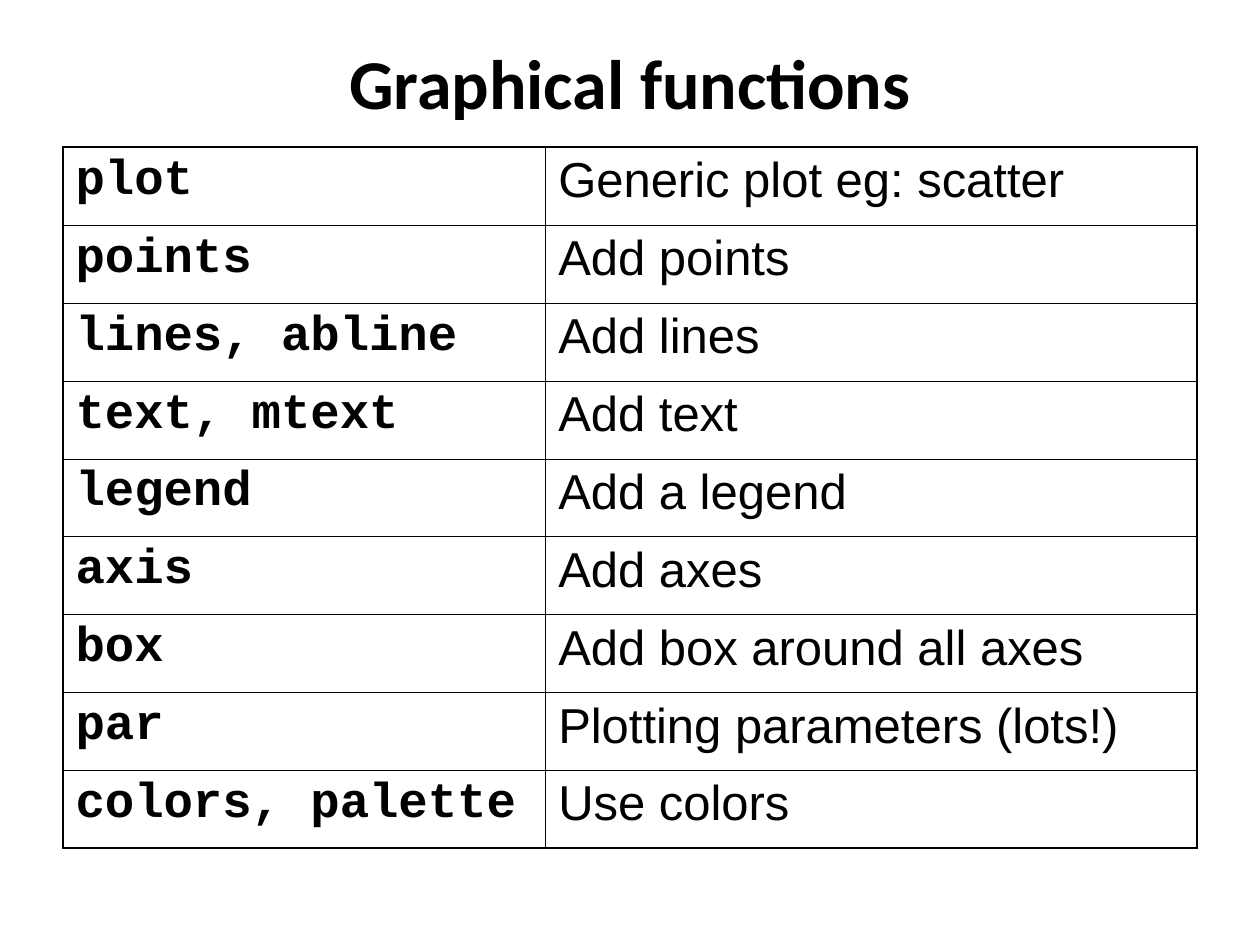
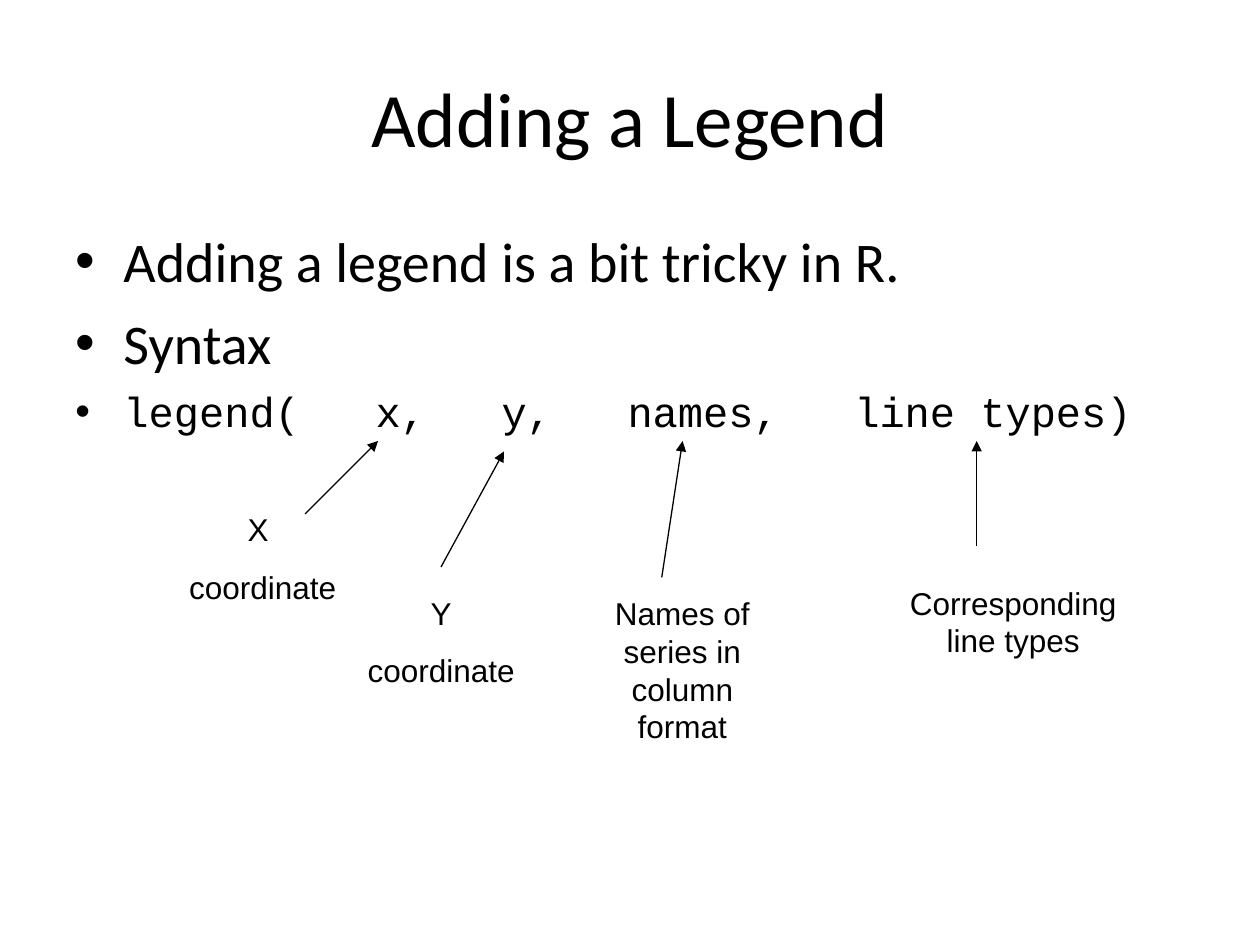
from lxml import etree
from pptx import Presentation
from pptx.dml.color import RGBColor
from pptx.enum.shapes import MSO_CONNECTOR
from pptx.enum.text import MSO_ANCHOR, MSO_AUTO_SIZE, PP_ALIGN
from pptx.oxml.ns import qn
from pptx.util import Cm, Pt

STRAIGHT = MSO_CONNECTOR.STRAIGHT
LEFT, CENTER = PP_ALIGN.LEFT, PP_ALIGN.CENTER
TOP, MIDDLE = MSO_ANCHOR.TOP, MSO_ANCHOR.MIDDLE
GROW = MSO_AUTO_SIZE.SHAPE_TO_FIT_TEXT

INK = "000000"
HEADING, BODY, CODE = "Calibri", "Arial", "Courier New"
MARGIN, CONTENT_WIDTH = 1.27, 22.86
THICK, THIN = 1.08, 0.45
ROW_HEIGHT = 1.57
COLUMN_WIDTHS = (9.73, 13.13)
BULLET_INDENT = 0.97
WIDE_GAP = 28.8

FUNCTIONS = [
    ("plot", "Generic plot eg: scatter"),
    ("points", "Add points"),
    ("lines, abline", "Add lines"),
    ("text, mtext", "Add text"),
    ("legend", "Add a legend"),
    ("axis", "Add axes"),
    ("box", "Add box around all axes"),
    ("par", "Plotting parameters (lots!)"),
    ("colors, palette", "Use colors"),
]
SYNTAX = ["legend(", "x,", "y,", "names,", "line types)"]

# Each callout: paragraphs, label box, arrow start and tip measured from the label's corner.
CALLOUTS = [
    (["X ", "coordinate"], (3.39, 10.16, 3.81, 2.18), (2.76, 0.2), (4.23, -1.27)),
    (["Y", "coordinate"], (6.99, 11.85, 3.81, 2.18), (1.9, -0.42), (3.17, -2.75)),
    (["Names of series in column format"], (11.85, 11.85, 3.81, 3.3), (1.49, -0.21), (1.91, -2.96)),
    (["Corresponding line types"], (17.99, 11.64, 4.87, 1.78), (1.7, -0.64), (1.7, -2.75)),
]


def color(value):
    """Turn a hex string into a colour."""
    return RGBColor.from_string(value)


def add_span(para, text, font=BODY, size=18, bold=False, gap=0):
    """Add a formatted span, with extra letter spacing in points if asked."""
    span = para.add_run()
    span.text = text
    span.font.name = font
    span.font.size = Pt(size)
    span.font.bold = bold
    span.font.color.rgb = color(INK)
    if gap:
        span.font._element.set("spc", str(round(gap * 100)))


def add_text(frame, text, align=LEFT, before=0, bullet=False, **style):
    """Write a paragraph; a list of texts is set apart by wide gaps."""
    first = frame.paragraphs[0]
    para = frame.add_paragraph() if first.runs else first
    para.alignment = align
    para.space_before = Pt(before)
    if bullet:
        add_bullet(para)
    parts = [text] if isinstance(text, str) else text
    for index, part in enumerate(parts):
        if index:
            add_span(para, " ", gap=WIDE_GAP, **style)
        add_span(para, part, **style)


def add_bullet(para):
    """Give a paragraph a hanging round bullet."""
    properties = para._p.get_or_add_pPr()
    properties.set("marL", str(Cm(BULLET_INDENT)))
    properties.set("indent", str(-Cm(BULLET_INDENT)))
    etree.SubElement(properties, qn("a:buFont")).set("typeface", BODY)
    etree.SubElement(properties, qn("a:buChar")).set("char", "•")


def add_frame(page, box, anchor=TOP):
    """Add a wrapping text box and return its text frame."""
    frame = page.shapes.add_textbox(*map(Cm, box)).text_frame
    frame.word_wrap = True
    frame.vertical_anchor = anchor
    return frame


def add_title(page, box, text, **style):
    """Add a centred slide title."""
    add_text(add_frame(page, box, MIDDLE), text, align=CENTER, font=HEADING, **style)


def set_borders(cell, widths):
    """Draw the left, right, top and bottom borders of a cell."""
    properties = cell._tc.get_or_add_tcPr()
    for position, (side, width) in enumerate(zip("LRTB", widths)):
        line = etree.Element(qn(f"a:ln{side}"), w=str(Pt(width)))
        fill = etree.SubElement(line, qn("a:solidFill"))
        etree.SubElement(fill, qn("a:srgbClr")).set("val", INK)
        properties.insert(position, line)


def add_function_table(page, left, top):
    """Add the table of functions and what each one does."""
    count = len(FUNCTIONS)
    box = (left, top, sum(COLUMN_WIDTHS), ROW_HEIGHT * count)
    table = page.shapes.add_table(count, len(COLUMN_WIDTHS), *map(Cm, box)).table
    table.first_row = table.horz_banding = False
    for column, width in zip(table.columns, COLUMN_WIDTHS):
        column.width = Cm(width)
    for row, texts in enumerate(FUNCTIONS):
        table.rows[row].height = Cm(ROW_HEIGHT)
        for column, text in enumerate(texts):
            cell = table.cell(row, column)
            cell.fill.background()
            is_name = column == 0
            outer = (is_name, not is_name, row == 0, row == count - 1)
            set_borders(cell, [THICK if edge else THIN for edge in outer])
            add_text(cell.text_frame, text, before=7, size=28,
                     font=CODE if is_name else BODY, bold=is_name)


def add_arrow(page, start, tip):
    """Add a thin arrow that points at the tip."""
    arrow = page.shapes.add_connector(STRAIGHT, *map(Cm, start + tip))
    arrow.line.color.rgb = color(INK)
    arrow.line.width = Pt(0.75)
    etree.SubElement(arrow.line._get_or_add_ln(), qn("a:tailEnd")).set("type", "triangle")
    etree.SubElement(arrow._element.spPr, qn("a:effectLst"))


def add_callout(page, texts, box, start, tip):
    """Add a label and its arrow, placed from the label's corner."""
    frame = add_frame(page, box)
    frame.auto_size = GROW
    for text in texts:
        add_text(frame, text, align=CENTER, before=11.2)
    left, top = box[:2]
    add_arrow(page, *((left + x, top + y) for x, y in (start, tip)))


def build_functions_page(page):
    """Fill the slide that lists the graphical functions."""
    add_title(page, (MARGIN, 0, CONTENT_WIDTH, 3.3), "Graphical functions", size=40, bold=True)
    add_function_table(page, MARGIN, 2.97)


def build_legend_page(page):
    """Fill the slide that explains the legend syntax."""
    add_title(page, (MARGIN, 0.76, CONTENT_WIDTH, 3.18), "Adding a Legend", size=44)
    frame = add_frame(page, (MARGIN, 4.45, CONTENT_WIDTH, 12.57))
    for text in ("Adding a legend is a bit tricky in R.", "Syntax"):
        add_text(frame, text, before=8, bullet=True, font=HEADING, size=32)
    add_text(frame, SYNTAX, before=6, bullet=True, font=CODE, size=24)
    for callout in CALLOUTS:
        add_callout(page, *callout)


def main():
    """Build and save the deck."""
    deck = Presentation()
    deck.slide_width, deck.slide_height = Cm(25.4), Cm(19.05)
    for build in (build_functions_page, build_legend_page):
        build(deck.slides.add_slide(deck.slide_layouts[6]))
    deck.save("out.pptx")


if __name__ == "__main__":
    main()
